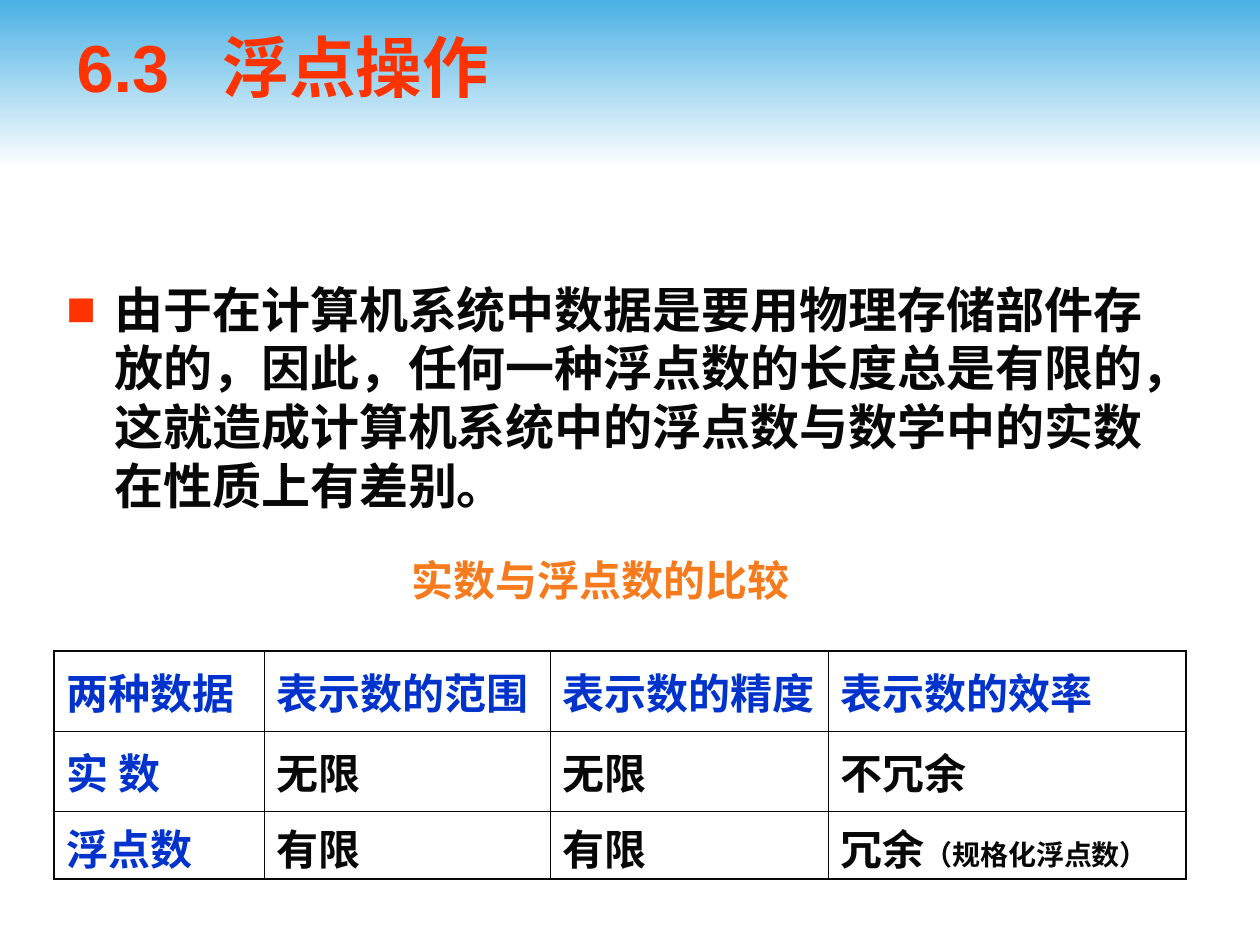
"""Build the slide on floating-point operations and how they differ from real numbers."""
from lxml import etree
from pptx import Presentation
from pptx.dml.color import RGBColor
from pptx.enum.shapes import MSO_SHAPE as Shape
from pptx.enum.text import MSO_ANCHOR as Anchor, PP_ALIGN as Align
from pptx.oxml.ns import qn
from pptx.util import Pt

PX = 914400 // 126
SANS, CJK, SERIF = "Arial", "Noto Sans CJK JP", "Times New Roman"
RED, BLUE, INK, ORANGE = "FF3300", "0033CC", "080808", "F77A1D"
SKY, WHITE = "4AB1E4", "FFFFFF"

TITLE = "6.3\t浮点操作"
BODY = (
    "由于在计算机系统中数据是要用物理存储部件存放的，因此，任何一种浮点数的长度总是有限的，"
    "这就造成计算机系统中的浮点数与数学中的实数在性质上有差别。"
)
CAPTION = "实数与浮点数的比较"
NOTE = "（规格化浮点数）"
ROWS = [
    ["两种数据", "表示数的范围", "表示数的精度", "表示数的效率"],
    ["实 数", "无限", "无限", "不冗余"],
    ["浮点数", "有限", "有限", "冗余"],
]
WIDTHS = [210, 286, 278, 358]
HEIGHTS = [80, 80, 68]


def px(*nums):
    return [round(n * PX) for n in nums]


def rgb(code):
    return RGBColor.from_string(code)


def add(parent, tag, **attrs):
    return etree.SubElement(parent, qn(tag), {k: str(v) for k, v in attrs.items()})


def style(para, size, color, face):
    font = para.font
    font.size, font.bold, font.name = Pt(size), True, face
    font.color.rgb = rgb(color)
    add(font._element, "a:ea", typeface=CJK)


def write(box, text, size, color, face):
    frame = box.text_frame
    frame.word_wrap = True
    frame.text = text
    para = frame.paragraphs[0]
    return para, lambda: style(para, size, color, face)


def rule(cell, sides):
    props = cell._tc.get_or_add_tcPr()
    for i, (side, outer) in enumerate(sides.items()):
        line = etree.Element(qn(f"a:ln{side}"), w=str(Pt(1.08 if outer else 0.45)))
        add(add(line, "a:solidFill"), "a:srgbClr", val=INK)
        props.insert(i, line)


def band(slide):
    shape = slide.shapes.add_shape(Shape.RECTANGLE, *px(0, 0, 1260, 168))
    shape.shadow.inherit = False
    shape.line.fill.background()
    shape.fill.gradient()
    shape.fill.gradient_angle = 270
    for stop, (spot, color) in zip(shape.fill.gradient_stops, [(0, SKY), (1, WHITE)]):
        stop.position, stop.color.rgb = spot, rgb(color)
    slide.shapes._spTree.insert(2, shape._element)


def head(slide):
    title = slide.shapes.title
    title.left, title.top, title.width, title.height = px(64, 6, 1134, 120)
    title.text_frame.vertical_anchor = Anchor.MIDDLE
    para, finish = write(title, TITLE, 38, RED, SANS)
    para.alignment = Align.LEFT
    tabs = add(para._p.get_or_add_pPr(), "a:tabLst")
    add(tabs, "a:tab", pos=146 * PX, algn="l")
    finish()


def prose(slide):
    box = slide.shapes.add_textbox(*px(54, 273, 1142, 278))
    para, finish = write(box, BODY, 28, INK, CJK)
    props = para._p.get_or_add_pPr()
    props.set("marL", str(48 * PX))
    props.set("indent", str(-48 * PX))
    add(add(props, "a:buClr"), "a:srgbClr", val=RED)
    add(props, "a:buFont", typeface=SANS)
    add(props, "a:buChar", char="■")
    finish()


def label(slide):
    box = slide.shapes.add_textbox(*px(323, 548, 556, 63))
    para, finish = write(box, CAPTION, 24, ORANGE, SERIF)
    para.alignment = Align.CENTER
    finish()


def grid(slide):
    rows, cols = len(HEIGHTS), len(WIDTHS)
    spot = px(54, 651, sum(WIDTHS), sum(HEIGHTS))
    table = slide.shapes.add_table(rows, cols, *spot).table
    table.first_row = table.horz_banding = False
    for col, wide in zip(table.columns, WIDTHS):
        col.width = wide * PX
    for row, high in zip(table.rows, HEIGHTS):
        row.height = high * PX
    for r, texts in enumerate(ROWS):
        for c, text in enumerate(texts):
            cell = table.cell(r, c)
            cell.text = text
            cell.vertical_anchor = Anchor.MIDDLE
            cell.fill.background()
            color = BLUE if r == 0 or c == 0 else INK
            style(cell.text_frame.paragraphs[0], 24, color, CJK)
            rule(cell, {"L": c == 0, "R": c == cols - 1, "T": r == 0, "B": r == rows - 1})
    run = table.cell(rows - 1, cols - 1).text_frame.paragraphs[0].add_run()
    run.text, run.font.size = NOTE, Pt(16)


def main():
    deck = Presentation()
    deck.slide_width, deck.slide_height = px(1260, 945)
    slide = deck.slides.add_slide(deck.slide_layouts[5])
    for part in (band, head, prose, grid, label):
        part(slide)
    deck.save("out.pptx")


if __name__ == "__main__":
    main()
